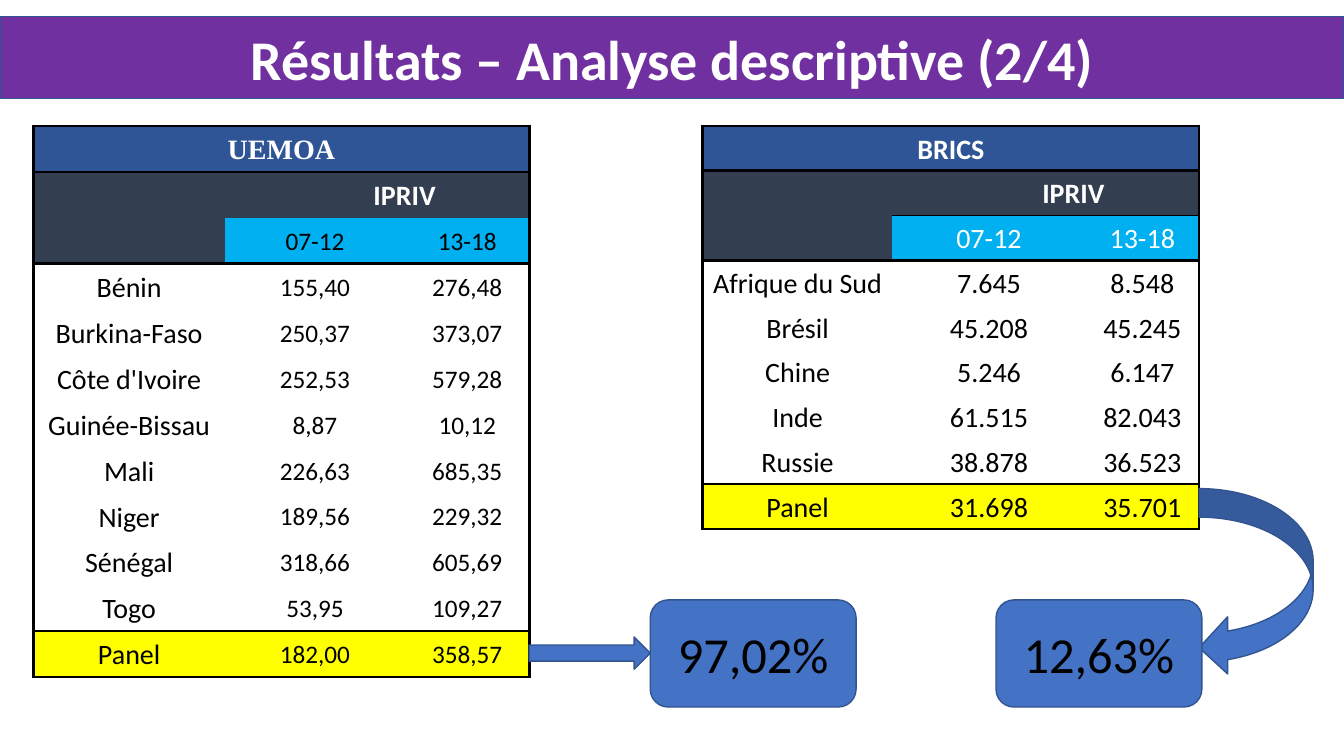
from lxml import etree
from pptx import Presentation
from pptx import util as u
from pptx.dml.color import RGBColor
from pptx.enum import shapes, text
from pptx.oxml.ns import qn

COLORS = {
    "purple": "7030A0", "outline": "325491", "blue": "4472C4",
    "band": "2F5597", "slate": "333F50", "sky": "00B0F0",
    "yellow": "FFFF00", "white": "FFFFFF", "black": "000000",
}
NO_STYLE = "{2D5ABB26-0587-4C30-8999-92F81FD0307C}"


def rgb(name):
    return RGBColor.from_string(COLORS[name])


def write(tf, words, size, color, bold=False, font="Calibri"):
    """Fill a text frame with one centred paragraph."""
    tf.text = words
    p = tf.paragraphs[0]
    p.alignment = text.PP_ALIGN.CENTER
    f = p.runs[0].font
    f.size, f.bold, f.name = u.Pt(size), bold, font
    f.color.rgb = rgb(color)
    return p


prs = Presentation()
prs.slide_width, prs.slide_height = u.Pt(960), u.Pt(540)
s = prs.slides.add_slide(prs.slide_layouts[5])

title = s.shapes.title
title.left, title.top, title.width, title.height = [u.Pt(v) for v in (0, 12, 960, 58.5)]
title.fill.solid()
title.fill.fore_color.rgb = rgb("purple")
title.line.color.rgb = rgb("outline")
title.line.width = u.Pt(1)
tf = title.text_frame
write(tf, "Résultats – Analyse descriptive (2/4)", 40, "white", True)
tf.auto_size = text.MSO_AUTO_SIZE.NONE
tf.vertical_anchor = text.MSO_ANCHOR.MIDDLE

headings = [["", "IPRIV", ""], ["", "07-12", "13-18"]]
tables = [
    dict(name="UEMOA", font="Times New Roman", left=24, widths=(136.5, 129, 88.5),
         row_height=32.8, number_size=18, year_color="black", thin_line=False,
         rows=[["Bénin", "155,40", "276,48"], ["Burkina-Faso", "250,37", "373,07"],
               ["Côte d'Ivoire", "252,53", "579,28"], ["Guinée-Bissau", "8,87", "10,12"],
               ["Mali", "226,63", "685,35"], ["Niger", "189,56", "229,32"],
               ["Sénégal", "318,66", "605,69"], ["Togo", "53,95", "109,27"],
               ["Panel", "182,00", "358,57"]]),
    dict(name="BRICS", font="Calibri", left=502, widths=(135.5, 138, 81),
         row_height=32, number_size=20, year_color="white", thin_line=True,
         rows=[["Afrique du Sud", "7.645", "8.548"], ["Brésil", "45.208", "45.245"],
               ["Chine", "5.246", "6.147"], ["Inde", "61.515", "82.043"],
               ["Russie", "38.878", "36.523"], ["Panel", "31.698", "35.701"]]),
]

for t in tables:
    rows = [[t["name"], "", ""]] + headings + t["rows"]
    last = len(rows) - 1
    heavy_below = {-1, 0, 2, last - 1, last}
    frame = s.shapes.add_table(len(rows), 3, u.Pt(t["left"]), u.Pt(90),
                               u.Pt(sum(t["widths"])), u.Pt(t["row_height"] * len(rows)))
    table = frame.table
    table._tbl.tblPr.find(qn("a:tableStyleId")).text = NO_STYLE
    table.first_row = table.horz_banding = False
    for column, width in zip(table.columns, t["widths"]):
        column.width = u.Pt(width)
    for row in table.rows:
        row.height = u.Pt(t["row_height"])
    table.cell(0, 0).merge(table.cell(0, 2))
    table.cell(1, 1).merge(table.cell(1, 2))

    for r, row in enumerate(rows):
        for c, words in enumerate(row):
            cell = table.cell(r, c)
            cell.margin_left = cell.margin_right = u.Pt(3.5)
            cell.margin_top = cell.margin_bottom = 0
            cell.vertical_anchor = text.MSO_ANCHOR.MIDDLE

            end = c + (cell.span_width if cell.is_merge_origin else 1)
            thin = t["thin_line"] and c > 0
            borders = {
                "lnL": 2.25 if c == 0 else 0,
                "lnR": 2.25 if end == 3 else 0,
                "lnT": 2.25 if r - 1 in heavy_below else int(thin and r == 2),
                "lnB": 2.25 if r in heavy_below else int(thin and r == 1),
            }
            tcPr = cell._tc.get_or_add_tcPr()
            for side, weight in borders.items():
                ln = etree.SubElement(tcPr, qn("a:" + side), w=str(int(u.Pt(weight))))
                if weight:
                    fill = etree.SubElement(ln, qn("a:solidFill"))
                    etree.SubElement(fill, qn("a:srgbClr"), val=COLORS["black"])
                else:
                    etree.SubElement(ln, qn("a:noFill"))

            if r == 0:
                shade = "band"
            elif r == 1 or (r == 2 and c == 0):
                shade = "slate"
            elif r == 2:
                shade = "sky"
            else:
                shade = "yellow" if r == last else None
            if shade:
                cell.fill.solid()
                cell.fill.fore_color.rgb = rgb(shade)
            else:
                cell.fill.background()

            if words:
                size = t["number_size"] if r > 1 and c > 0 else 20
                color = "white" if r < 2 else t["year_color"] if r == 2 else "black"
                font = t["font"] if r == 0 else "Calibri"
                p = write(cell.text_frame, words, size, color, r < 2, font)
                p.line_spacing = 1.07
    table.cell(1, 1).margin_left = u.Pt(43)

kind = shapes.MSO_SHAPE
callouts = [
    (kind.RIGHT_ARROW, 378, 455, 86.5, 23, ""),
    (kind.CURVED_LEFT_ARROW, 856.5, 349, 81.5, 134, ""),
    (kind.ROUNDED_RECTANGLE, 464.5, 428.5, 147, 76.5, "97,02%"),
    (kind.ROUNDED_RECTANGLE, 711.5, 428.5, 147, 76.5, "12,63%"),
]
for preset, left, top, width, height, words in callouts:
    sp = s.shapes.add_shape(preset, u.Pt(left), u.Pt(top), u.Pt(width), u.Pt(height))
    sp.shadow.inherit = False
    sp.fill.solid()
    sp.fill.fore_color.rgb = rgb("blue")
    sp.line.color.rgb = rgb("outline")
    sp.line.width = u.Pt(1)
    if words:
        write(sp.text_frame, words, 36, "black")
        sp.text_frame.vertical_anchor = text.MSO_ANCHOR.MIDDLE

prs.save("out.pptx")
